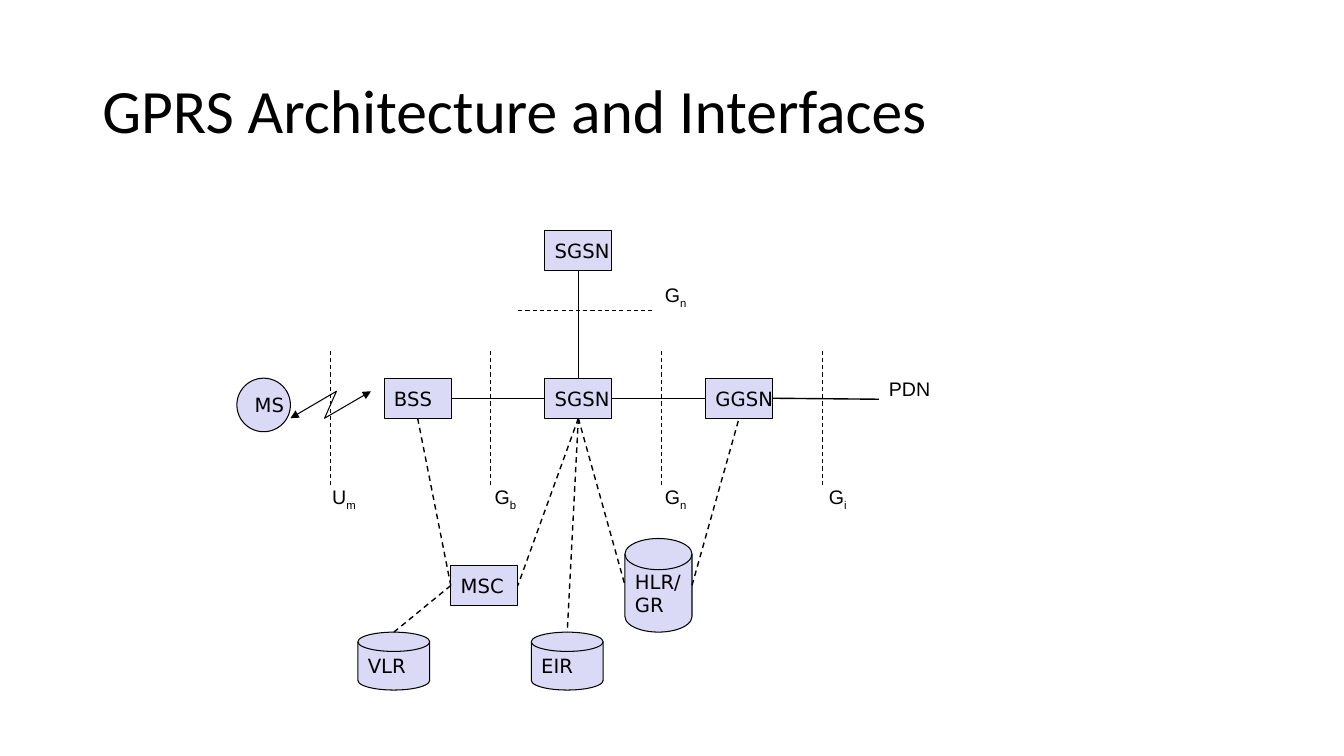
"""Draw the GPRS network with its nodes, links and interfaces."""
from typing import NamedTuple

from lxml.etree import SubElement
from pptx import Presentation
from pptx.dml.color import RGBColor
from pptx.enum.dml import MSO_LINE
from pptx.enum.shapes import MSO_CONNECTOR, MSO_SHAPE
from pptx.enum.text import MSO_ANCHOR, MSO_AUTO_SIZE, PP_ALIGN
from pptx.oxml.ns import qn
from pptx.util import Cm, Pt

BLACK = "000000"
LILAC = "DADAF6"
BOX = MSO_SHAPE.RECTANGLE
DISK = MSO_SHAPE.FLOWCHART_MAGNETIC_DISK
TOP, LEFT, BOTTOM, RIGHT = range(4)
BOX_W, BOX_H = 1.69, 1.01
ROW_Y = 9.53
COLS = [9.68 + 4.05 * i for i in range(3)]


class Node(NamedTuple):
    key: str
    text: str
    x: float
    y: float
    w: float = BOX_W
    h: float = BOX_H
    kind: MSO_SHAPE = BOX

    def side(self, side: int) -> tuple[float, float]:
        """Give the middle of one side."""
        across, down = ((0.5, 0), (0, 0.5), (0.5, 1), (1, 0.5))[side]
        return self.x + self.w * across, self.y + self.h * down


class Link(NamedTuple):
    start: str
    out: int
    end: str
    into: int
    dash: bool = True


class Mark(NamedTuple):
    x1: float
    y1: float
    x2: float
    y2: float


class Label(NamedTuple):
    text: str
    sub: str
    x: float
    y: float
    w: float


NODES = [
    Node("MS", "MS", 5.97, ROW_Y, 1.35, 1.35, MSO_SHAPE.OVAL),
    Node("BSS", "BSS", COLS[0], ROW_Y),
    Node("SGSN", "SGSN", COLS[1], ROW_Y),
    Node("GGSN", "GGSN", COLS[2], ROW_Y),
    Node("PEER", "SGSN", COLS[1], 5.81),
    Node("MSC", "MSC", 11.36, 14.25),
    Node("EIR", "EIR", 13.39, 15.93, 1.81, 1.46, DISK),
    Node("HLR", "HLR/\nGR", 15.75, 13.57, 1.69, 2.36, DISK),
    Node("VLR", "VLR", 9.02, 15.93, 1.81, 1.46, DISK),
]
LINKS = [
    Link("BSS", RIGHT, "SGSN", LEFT, False),
    Link("GGSN", LEFT, "SGSN", RIGHT, False),
    Link("PEER", BOTTOM, "SGSN", TOP, False),
    Link("MSC", LEFT, "VLR", TOP),
    Link("BSS", BOTTOM, "MSC", LEFT),
    Link("SGSN", BOTTOM, "MSC", RIGHT),
    Link("SGSN", BOTTOM, "EIR", TOP),
    Link("SGSN", BOTTOM, "HLR", LEFT),
    Link("HLR", RIGHT, "GGSN", BOTTOM),
]
MARKS = [Mark(x, 12.22, x, 8.85) for x in (8.33, 12.37, 16.67, 20.73)]
MARKS.append(Mark(13.06, 7.82, 16.43, 7.82))
LABELS = [
    Label("U", "m", 8.08, 12.09, 1.14),
    Label("G", "b", 12.19, 12.09, 1.07),
    Label("G", "n", 16.48, 12.09, 1.07),
    Label("G", "i", 20.62, 12.09, 0.97),
    Label("G", "n", 16.48, 7.01, 1.07),
    Label("PDN", "", 22.15, 9.37, 1.55),
]
WAVE = [(7.32, 10.54), (8.48, 9.86), (8.18, 10.54), (9.35, 9.86)]
PDN_END = (22.15, 10.06)


def hue(code: str) -> RGBColor:
    return RGBColor.from_string(code)


def write(shape, text: str, *, sub: str = "", font: str = "Arial", size: float = 14,
          align=PP_ALIGN.LEFT, anchor=MSO_ANCHOR.TOP, wrap: bool = False,
          space: float = 1.0) -> None:
    """Fill a shape with text, then an optional subscript."""
    frame = shape.text_frame
    frame.word_wrap = wrap
    frame.vertical_anchor = anchor
    frame.text = text
    if sub:
        run = frame.paragraphs[-1].add_run()
        run.text = sub
        run.font._element.set("baseline", "-25000")
    for para in frame.paragraphs:
        para.alignment = align
        para.line_spacing = space
        for run in para.runs:
            run.font.name = font
            run.font.size = Pt(size)
            run.font.color.rgb = hue(BLACK)


def ink(line, width: float = 0.75, dash: bool = False) -> None:
    line.color.rgb = hue(BLACK)
    line.width = Pt(width)
    if dash:
        line.dash_style = MSO_LINE.DASH


def draw_node(shapes, node: Node):
    shape = shapes.add_shape(node.kind, Cm(node.x), Cm(node.y), Cm(node.w), Cm(node.h))
    shape.shadow.inherit = False
    shape.fill.solid()
    shape.fill.fore_color.rgb = hue(LILAC)
    ink(shape.line)
    write(shape, node.text, font="DejaVu Sans", anchor=MSO_ANCHOR.MIDDLE)
    return shape


def draw_line(shapes, x1: float, y1: float, x2: float, y2: float,
              width: float = 0.75, dash: bool = False):
    wire = shapes.add_connector(MSO_CONNECTOR.STRAIGHT, Cm(x1), Cm(y1), Cm(x2), Cm(y2))
    ink(wire.line, width, dash)
    SubElement(wire._element.spPr, qn("a:effectLst"))
    return wire


def draw_link(shapes, link: Link, nodes: dict, drawn: dict) -> None:
    start, end = nodes[link.start], nodes[link.end]
    wire = draw_line(shapes, *start.side(link.out), *end.side(link.into),
                     width=1 if link.dash else 0.75, dash=link.dash)
    if start.kind == BOX:
        wire.begin_connect(drawn[link.start], link.out)
    if end.kind == BOX:
        wire.end_connect(drawn[link.end], link.into)


def draw_wave(shapes) -> None:
    first, *rest = [(Cm(x), Cm(y)) for x, y in WAVE]
    pen = shapes.build_freeform(*first)
    pen.add_line_segments(rest, close=False)
    wave = pen.convert_to_shape()
    wave.shadow.inherit = False
    wave.fill.background()
    ink(wave.line)
    for end in ("a:headEnd", "a:tailEnd"):
        SubElement(wave._element.spPr.find(qn("a:ln")), qn(end), type="triangle")


def draw_label(shapes, label: Label) -> None:
    box = shapes.add_textbox(Cm(label.x), Cm(label.y), Cm(label.w), Cm(0.84))
    box.text_frame.auto_size = MSO_AUTO_SIZE.SHAPE_TO_FIT_TEXT
    write(box, label.text, sub=label.sub,
          align=PP_ALIGN.RIGHT if label.sub else PP_ALIGN.LEFT)


def main() -> None:
    deck = Presentation()
    deck.slide_width, deck.slide_height = Cm(33.87), Cm(19.05)
    shapes = deck.slides.add_slide(deck.slide_layouts[6]).shapes
    title = shapes.add_textbox(Cm(2.33), Cm(1.01), Cm(29.21), Cm(3.68))
    write(title, "GPRS Architecture and Interfaces", font="Calibri", size=44,
          anchor=MSO_ANCHOR.MIDDLE, wrap=True, space=0.9)
    nodes = {node.key: node for node in NODES}
    drawn = {node.key: draw_node(shapes, node) for node in NODES}
    draw_wave(shapes)
    for link in LINKS:
        draw_link(shapes, link, nodes, drawn)
    exit_line = draw_line(shapes, *nodes["GGSN"].side(RIGHT), *PDN_END, width=1)
    exit_line.begin_connect(drawn["GGSN"], RIGHT)
    for mark in MARKS:
        draw_line(shapes, *mark, dash=True)
    for label in LABELS:
        draw_label(shapes, label)
    deck.save("out.pptx")


if __name__ == "__main__":
    main()
